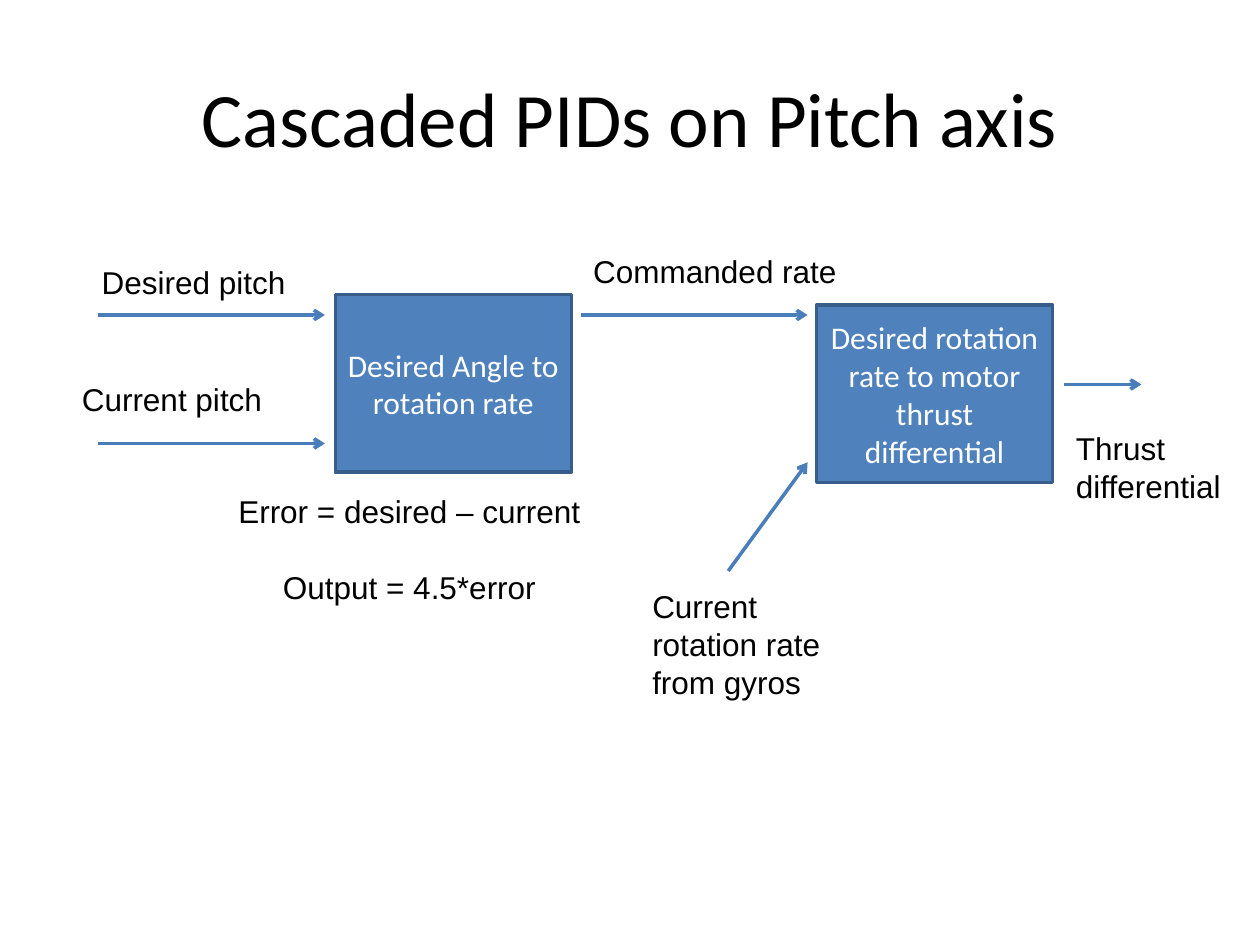
from pptx import Presentation
from pptx.dml.color import RGBColor
from pptx.enum.shapes import MSO_CONNECTOR as Connector, MSO_SHAPE as Shape
from pptx.enum.text import MSO_ANCHOR as Anchor, PP_ALIGN as Align
from pptx.oxml.ns import qn
from pptx.util import Cm, Pt
from lxml.etree import SubElement

LINE_HEIGHT = Pt(21.6)
BOX_SIZE = (4.76, 3.58)

BOXES = [
    ("Desired Angle to rotation rate", 6.76, 5.94),
    ("Desired rotation rate to motor thrust differential", 16.46, 6.15),
]
ARROWS = [
    (1.98, 6.35, 6.55, 6.35),
    (1.98, 8.94, 6.55, 8.94),
    (11.71, 6.35, 16.28, 6.35),
    (14.68, 11.51, 16.28, 9.32),
    (21.44, 7.75, 23.01, 7.75),
]
LABELS = [
    (["Commanded rate"], 11.71, 4.95, 5.77, 1.02, Align.LEFT),
    (["Current pitch"], 1.4, 7.54, 4.78, 1.02, Align.LEFT),
    (["Desired pitch"], 1.8, 5.18, 4.78, 1.02, Align.LEFT),
    (["Current rotation rate from gyros"], 12.9, 11.71, 4.78, 2.54, Align.LEFT),
    (["Thrust differential"], 21.44, 8.53, 3.96, 1.78, Align.LEFT),
    (["Error = desired – current", "Output = 4.5*error"],
     4.19, 9.8, 8.13, 3.3, Align.CENTER),
]


def color(value):
    return RGBColor.from_string(value)


def format_paragraph(paragraph, font_name, size, font_color, alignment):
    paragraph.alignment = alignment
    paragraph.font.name = font_name
    paragraph.font.size = Pt(size)
    paragraph.font.color.rgb = color(font_color)


def set_title(slide, text):
    title = slide.shapes.title
    title.left, title.top = Cm(1.27), Cm(0.76)
    title.width, title.height = Cm(22.86), Cm(3.18)
    title.text_frame.text = text
    title.text_frame.vertical_anchor = Anchor.MIDDLE
    format_paragraph(title.text_frame.paragraphs[0], "Calibri", 44, "000000", Align.CENTER)


def add_box(slide, text, left, top):
    width, height = BOX_SIZE
    box = slide.shapes.add_shape(Shape.RECTANGLE, Cm(left), Cm(top), Cm(width), Cm(height))
    box.shadow.inherit = False
    box.fill.solid()
    box.fill.fore_color.rgb = color("4F81BD")
    box.line.color.rgb = color("385D8A")
    box.line.width = Pt(2)
    box.text_frame.word_wrap = True
    box.text_frame.vertical_anchor = Anchor.MIDDLE
    box.text_frame.text = text
    format_paragraph(box.text_frame.paragraphs[0], "Calibri", 18, "FFFFFF", Align.CENTER)


def add_arrow(slide, *ends):
    arrow = slide.shapes.add_connector(Connector.STRAIGHT, *map(Cm, ends))
    arrow.line.color.rgb = color("4A7EBB")
    arrow.line.width = Pt(2)
    SubElement(arrow.line._get_or_add_ln(), qn("a:tailEnd"), type="arrow")
    SubElement(arrow._element.spPr, qn("a:effectLst"))


def add_label(slide, lines, left, top, width, height, alignment):
    label = slide.shapes.add_textbox(Cm(left), Cm(top), Cm(width), Cm(height))
    label.text_frame.word_wrap = True
    label.text_frame.text = "\n".join(lines)
    for index, paragraph in enumerate(label.text_frame.paragraphs):
        format_paragraph(paragraph, "Arial", 18, "000000", alignment)
        paragraph.line_spacing = LINE_HEIGHT
        if index:
            paragraph.space_before = LINE_HEIGHT


def main():
    presentation = Presentation()
    presentation.slide_width, presentation.slide_height = Cm(25.4), Cm(19.05)
    slide = presentation.slides.add_slide(presentation.slide_layouts[5])
    set_title(slide, "Cascaded PIDs on Pitch axis")
    for box in BOXES:
        add_box(slide, *box)
    for arrow in ARROWS:
        add_arrow(slide, *arrow)
    for label in LABELS:
        add_label(slide, *label)
    presentation.save("out.pptx")


if __name__ == "__main__":
    main()
